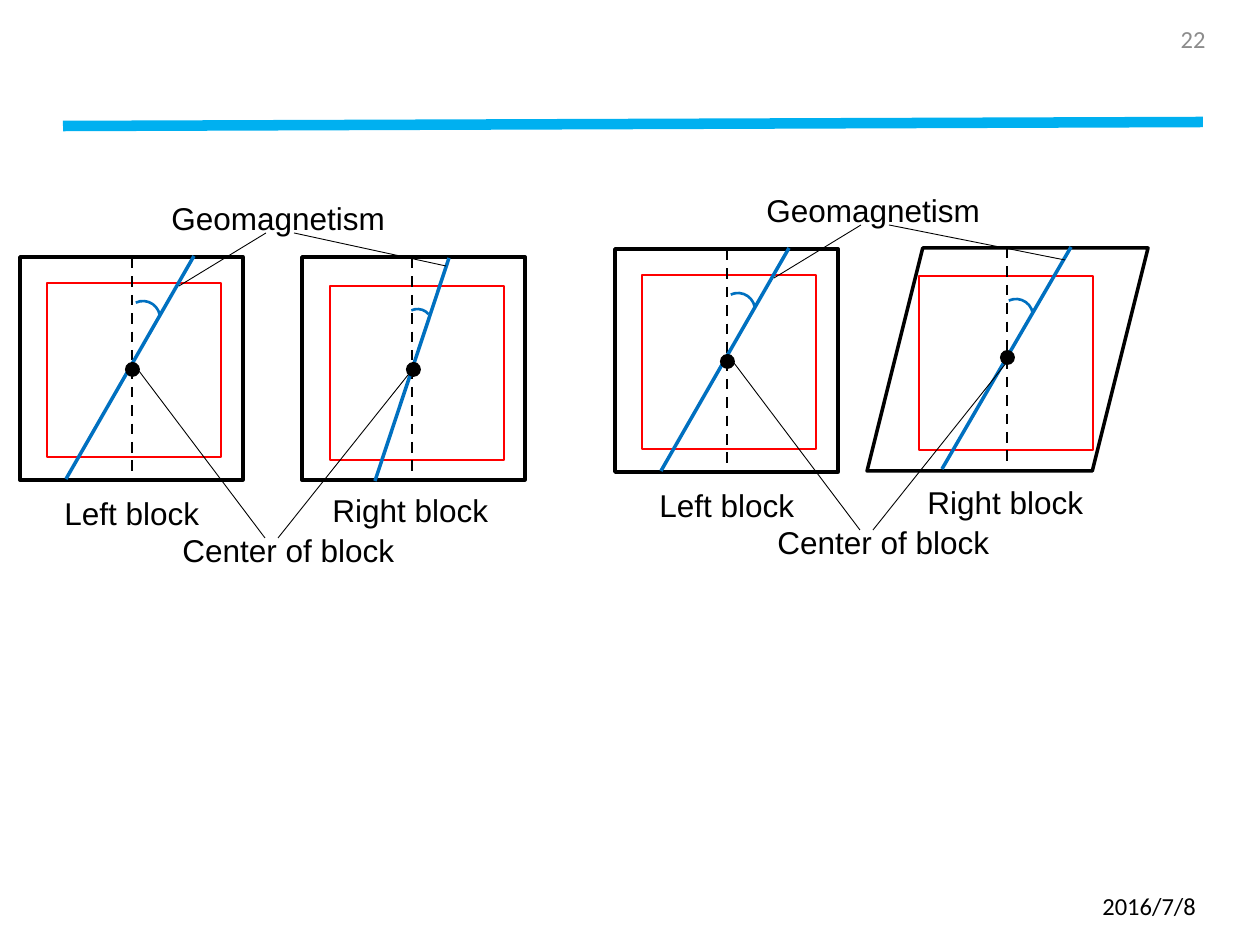
"""Build a slide comparing geomagnetism directions in two pairs of blocks."""
from dataclasses import dataclass

from lxml import etree
from pptx import Presentation
from pptx import util as u
from pptx.dml.color import RGBColor
from pptx.enum import dml, shapes, text
from pptx.oxml import ns

PX = 914400 / 126


@dataclass(frozen=True)
class Theme:
    black: str = "000000"
    grey: str = "8C8C8C"
    red: str = "FF0000"
    blue: str = "0070C0"
    sky: str = "00B0F0"
    label_font: str = "Arial"
    footer_font: str = "Calibri"
    label_size: int = 18
    footer_size: int = 14
    rule: float = 6
    heavy: float = 2
    medium: float = 1.5
    thin: float = 0.5


THEME = Theme()
BLOCK, INNER, DOT = 223, 174, 15
KIND = shapes.MSO_SHAPE

HEADER_RULE = (63, 126, 1203, 122)
FOOTERS = [
    ("2016/7/8", (1090, 881, 154, 50), THEME.black, text.PP_ALIGN.LEFT),
    ("22", (1142, 14, 76, 50), THEME.grey, text.PP_ALIGN.RIGHT),
]
LABELS = [
    ("Geomagnetism", (159, 193, 249, 50)),
    ("Left block", (52, 488, 161, 50)),
    ("Right block", (320, 485, 183, 50)),
    ("Center of block", (170, 525, 239, 50)),
]
LEADERS = [(179, 286, 266, 233), (136, 367, 265, 538), (412, 370, 278, 538)]
LEFT_BLOCK = dict(
    kind=KIND.RECTANGLE, outline=(20, 257, BLOCK), inner=(47, 283),
    field=(194, 256, 66, 479), axis=(132, 258), dot=(125, 362),
    arc=(126, 301, 34), arc_end=8.587,
)
FIGURES = [
    dict(offset=(0, 0), pointer=(446, 266, 294, 233), right_block=dict(
        kind=KIND.RECTANGLE, outline=(302, 257, BLOCK), inner=(330, 286),
        field=(449, 258, 375, 481), axis=(412, 258), dot=(406, 362),
        arc=(403, 309, 29), arc_end=207.35)),
    dict(offset=(595, -8), pointer=(470, 268, 294, 233), right_block=dict(
        kind=KIND.PARALLELOGRAM, outline=(272, 256, 281), inner=(324, 284),
        field=(476, 255, 347, 477), axis=(412, 256), dot=(405, 358),
        arc=(404, 307, 34), arc_end=8.587)),
]


def emu(values, offset=(0, 0)):
    return [round((value + offset[i] if i < 2 else value) * PX)
            for i, value in enumerate(values)]


def add_line(parent, ends, color, width, offset=(0, 0), dashed=False):
    start, end = emu(ends[:2], offset), emu(ends[2:], offset)
    line = parent.add_connector(shapes.MSO_CONNECTOR.STRAIGHT, *start, *end)
    line.line.color.rgb = RGBColor.from_string(color)
    line.line.width = u.Pt(width)
    if dashed:
        line.line.dash_style = dml.MSO_LINE.DASH
    etree.SubElement(line._element.spPr, ns.qn("a:effectLst"))


def add_shape(parent, kind, box, offset, line=None, width=0, fill=None):
    shape = parent.add_shape(kind, *emu(box, offset))
    shape.shadow.inherit = False
    if fill:
        shape.fill.solid()
        shape.fill.fore_color.rgb = RGBColor.from_string(fill)
    else:
        shape.fill.background()
    if line:
        shape.line.color.rgb = RGBColor.from_string(line)
        shape.line.width = u.Pt(width)
    else:
        shape.line.fill.background()
    return shape


def add_text(parent, words, box, offset=(0, 0), *, font=THEME.label_font,
             size=THEME.label_size, color=THEME.black, wrap=False,
             align=text.PP_ALIGN.LEFT, anchor=text.MSO_ANCHOR.TOP):
    frame = parent.add_textbox(*emu(box, offset)).text_frame
    frame.word_wrap = wrap
    frame.vertical_anchor = anchor
    paragraph = frame.paragraphs[0]
    paragraph.alignment = align
    run = paragraph.add_run()
    run.text = words
    run.font.name = font
    run.font.size = u.Pt(size)
    run.font.color.rgb = RGBColor.from_string(color)


def add_block(parent, block, offset):
    add_shape(parent, KIND.RECTANGLE, (*block["inner"], INNER, INNER), offset,
              THEME.red, THEME.medium)
    add_shape(parent, block["kind"], (*block["outline"], BLOCK), offset,
              THEME.black, THEME.heavy)
    x, y = block["axis"]
    add_line(parent, (x, y, x, y + BLOCK), THEME.black, THEME.medium, offset,
             dashed=True)
    add_line(parent, block["field"], THEME.blue, THEME.heavy, offset)
    arc = add_shape(parent, KIND.ARC, (*block["arc"], block["arc"][2]), offset,
                    THEME.blue, THEME.medium)
    arc.adjustments[0] = 162
    arc.adjustments[1] = block["arc_end"]
    arc.rotation = 334.9
    add_shape(parent, KIND.OVAL, (*block["dot"], DOT, DOT), offset,
              fill=THEME.black)


def add_figure(slide, figure):
    parent, offset = slide.shapes.add_group_shape().shapes, figure["offset"]
    for block in (LEFT_BLOCK, figure["right_block"]):
        add_block(parent, block, offset)
    for words, box in LABELS:
        add_text(parent, words, box, offset)
    for leader in [*LEADERS, figure["pointer"]]:
        add_line(parent, leader, THEME.black, THEME.thin, offset)


def main():
    presentation = Presentation()
    presentation.slide_width, presentation.slide_height = emu((1260, 945))
    slide = presentation.slides.add_slide(presentation.slide_layouts[6])
    add_line(slide.shapes, HEADER_RULE, THEME.sky, THEME.rule)
    for words, box, color, align in FOOTERS:
        add_text(slide.shapes, words, box, font=THEME.footer_font,
                 size=THEME.footer_size, color=color, wrap=True, align=align,
                 anchor=text.MSO_ANCHOR.MIDDLE)
    for figure in FIGURES:
        add_figure(slide, figure)
    presentation.save("out.pptx")


if __name__ == "__main__":
    main()
